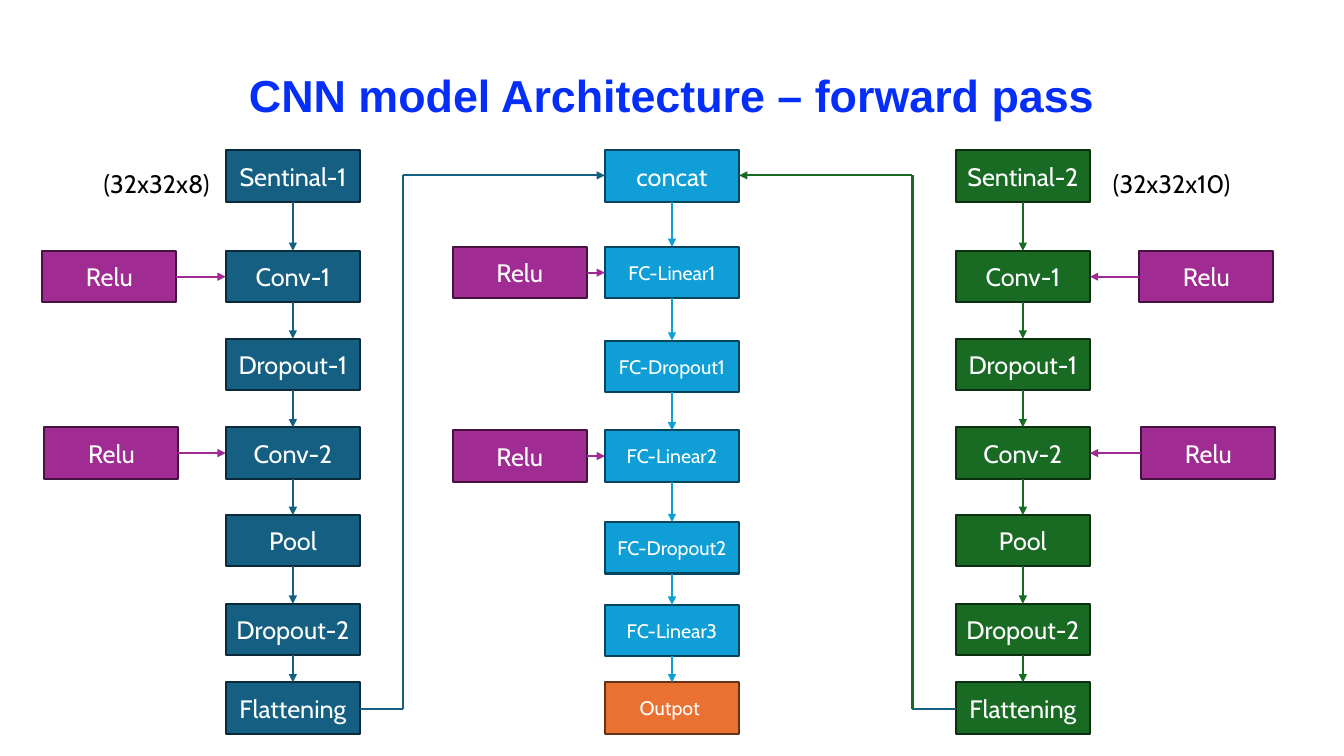
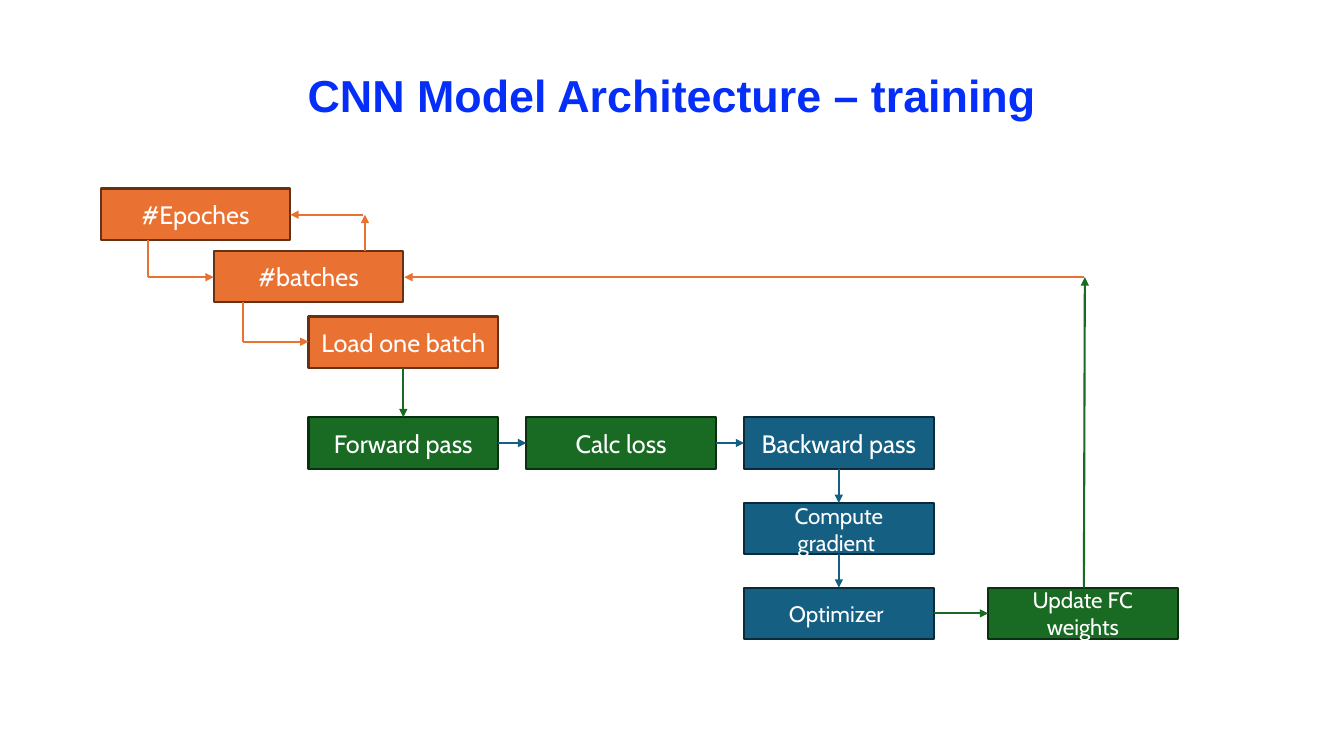
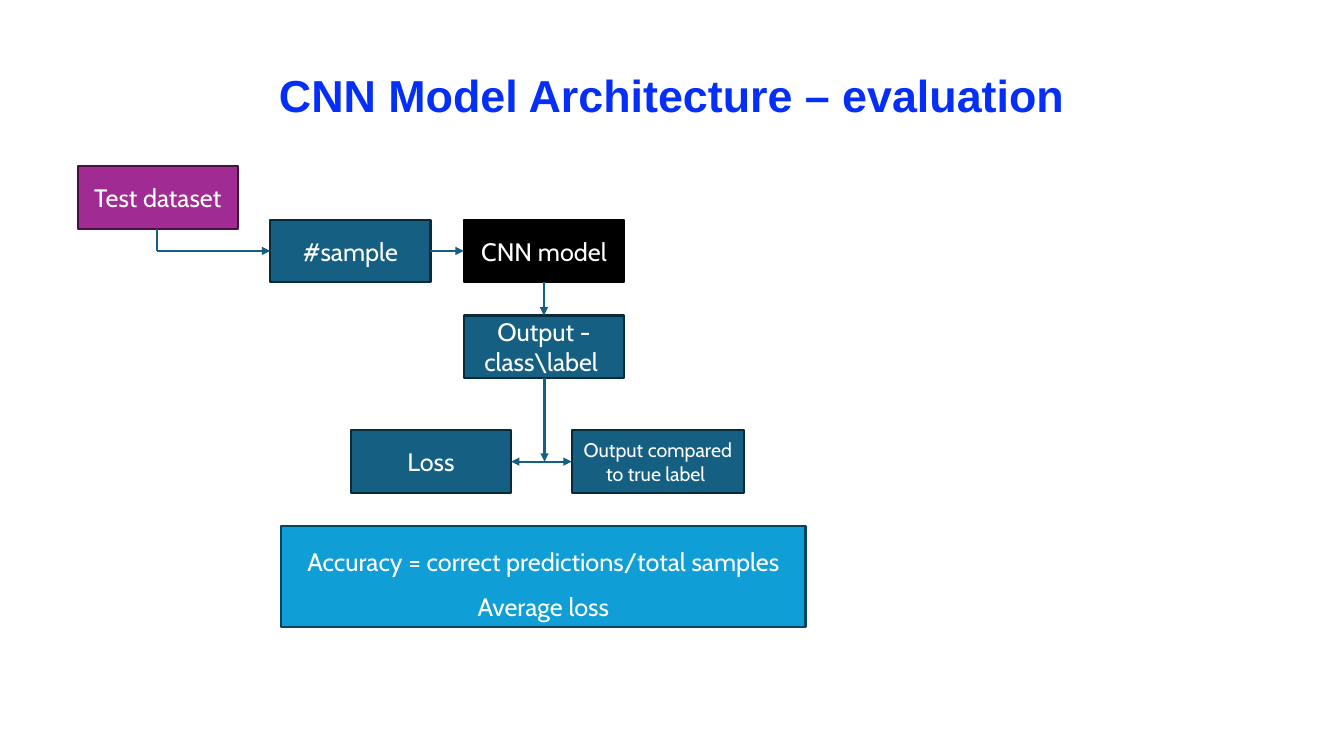
import dataclasses
import itertools

import lxml.etree
import pptx
import pptx.dml.color
import pptx.enum.shapes
import pptx.enum.text
import pptx.oxml.ns
import pptx.util

TOP, LEFT, BASE, RIGHT = range(4)


@dataclasses.dataclass(frozen=True)
class Theme:
    blue: tuple = ("156082", "092A39")
    green: tuple = ("196B24", "0B2F10")
    plum: tuple = ("A02B93", "461340")
    sky: tuple = ("0F9ED5", "07455D")
    orange: tuple = ("E97132", "663216")
    black: tuple = ("000000", "000000")
    title: str = "052FF8"
    white: str = "FFFFFF"
    head: str = "Arial"
    body: str = "Cabin"
    huge: int = 32
    large: int = 18
    mid: int = 16
    small: int = 14
    line: float = 1.5


class Deck:
    scale = 9144

    def __init__(self, theme):
        self.theme = theme
        self.show = pptx.Presentation()
        self.show.slide_width = self.px(1333)
        self.show.slide_height = self.px(750)

    def px(self, count):
        return pptx.util.Emu(count * self.scale)

    def tint(self, code):
        return pptx.dml.color.RGBColor.from_string(code)

    def page(self, title):
        self.slide = self.show.slides.add_slide(self.show.slide_layouts[6])
        self.label(title, (0, 62, 1333, 64), self.theme.huge, self.theme.title,
                   self.theme.head, True, pptx.enum.text.PP_ALIGN.CENTER)

    def letter(self, shape, text, size, color, face, bold=False, align=None, space=None):
        frame = shape.text_frame
        frame.word_wrap = True
        frame.text = text
        for para in frame.paragraphs:
            para.alignment = align
            para.line_spacing = space
            para.font.name = face
            para.font.size = pptx.util.Pt(size)
            para.font.bold = bold
            para.font.color.rgb = self.tint(color)
        return frame

    def label(self, text, area, size, color, face, bold=False, align=None):
        shape = self.slide.shapes.add_textbox(*map(self.px, area))
        frame = self.letter(shape, text, size, color, face, bold, align)
        frame.auto_size = pptx.enum.text.MSO_AUTO_SIZE.SHAPE_TO_FIT_TEXT

    def note(self, text, area):
        self.label(text, area, self.theme.large, self.theme.black[0], self.theme.body)

    def box(self, text, area, ink, size=None, space=None):
        shape = self.slide.shapes.add_shape(
            pptx.enum.shapes.MSO_SHAPE.RECTANGLE, *map(self.px, area))
        shape.shadow.inherit = False
        shape.fill.solid()
        shape.fill.fore_color.rgb = self.tint(ink[0])
        shape.line.color.rgb = self.tint(ink[1])
        shape.line.width = pptx.util.Pt(self.theme.line)
        frame = self.letter(shape, text, size or self.theme.large, self.theme.white,
                            self.theme.body, align=pptx.enum.text.PP_ALIGN.CENTER,
                            space=space)
        frame.vertical_anchor = pptx.enum.text.MSO_ANCHOR.MIDDLE
        return shape

    def line(self, ink, start, end, tip=True):
        wire = self.slide.shapes.add_connector(
            pptx.enum.shapes.MSO_CONNECTOR.STRAIGHT, *map(self.px, start + end))
        wire.line.color.rgb = self.tint(ink[0])
        wire.line.width = pptx.util.Pt(self.theme.line)
        props = wire.element.spPr
        qn = pptx.oxml.ns.qn
        if tip:
            lxml.etree.SubElement(props.find(qn("a:ln")), qn("a:tailEnd"), type="triangle")
        lxml.etree.SubElement(props, qn("a:effectLst"))
        return wire

    def route(self, ink, *points):
        for start, end in itertools.pairwise(points):
            self.line(ink, start, end, end == points[-1])

    def join(self, ink, first, last, near=BASE, far=TOP):
        wire = self.line(ink, (0, 0), (0, 0))
        wire.begin_connect(first, near)
        wire.end_connect(last, far)

    def stack(self, left, rows, ink):
        boxes = [self.box(text, (left, top, 133, 51), fill, size)
                 for text, top, fill, size in rows]
        for first, last in itertools.pairwise(boxes):
            self.join(ink, first, last)
        return boxes

    def relu(self, left, top, target, near, far):
        plum = self.theme.plum
        self.join(plum, self.box("Relu", (left, top, 133, 51), plum), target, near, far)


def forward(deck):
    theme = deck.theme
    deck.page("CNN model Architecture – forward pass")
    steps = ("Conv-1", "Dropout-1", "Conv-2", "Pool", "Dropout-2", "Flattening")
    tops = (149, 249, 336, 424, 511, 599, 677)
    sides = (
        ("Sentinal-1", 224, theme.blue, (42, 44), RIGHT, LEFT),
        ("Sentinal-2", 948, theme.green, (1130, 1132), LEFT, RIGHT),
    )
    for name, left, ink, spots, near, far in sides:
        rows = [(text, top, ink, theme.large) for text, top in zip((name, *steps), tops)]
        boxes = deck.stack(left, rows, ink)
        for spot, row in zip(spots, (1, 3)):
            deck.relu(spot, tops[row], boxes[row], near, far)

    rows = [("concat", 149, theme.sky, theme.large)]
    layers = ("FC-Linear1", "FC-Dropout1", "FC-Linear2", "FC-Dropout2", "FC-Linear3")
    rows += [(text, top, theme.sky, theme.small)
             for text, top in zip(layers, (245, 338, 427, 518, 600))]
    rows.append(("Outpot ", 677, theme.orange, theme.small))
    boxes = deck.stack(600, rows, theme.sky)
    for row in (1, 3):
        deck.relu(449, rows[row][1], boxes[row], RIGHT, LEFT)

    deck.route(theme.blue, (357, 703), (400, 703), (400, 174), (600, 174))
    deck.line(theme.blue, (905, 703), (948, 703), False)
    deck.route(theme.green, (905, 703), (905, 174), (733, 174))
    deck.note("(32x32x8)", (93, 162, 133, 40))
    deck.note("(32x32x10)", (1094, 162, 142, 40))


def train(deck):
    theme = deck.theme
    blue, green, orange = theme.blue, theme.green, theme.orange
    deck.page("CNN Model Architecture – training")

    def step(text, left, top, ink, size=theme.large):
        return deck.box(text, (left, top, 188, 51), ink, size)

    step("#Epoches", 100, 187, orange)
    step("#batches", 212, 249, orange)
    load = step("Load one batch", 306, 314, orange)
    ahead = step("Forward pass", 306, 414, green)
    loss = step("Calc loss", 522, 414, green)
    back = step("Backward pass", 738, 414, blue)
    slope = step("Compute gradient ", 738, 499, blue, theme.mid)
    tune = step("Optimizer ", 738, 583, blue, theme.mid)
    weights = step("Update FC weights", 980, 583, green, theme.mid)

    deck.join(green, load, ahead)
    deck.join(blue, ahead, loss, RIGHT, LEFT)
    deck.join(blue, loss, back, RIGHT, LEFT)
    deck.join(blue, back, slope)
    deck.join(blue, slope, tune)
    deck.join(green, tune, weights, RIGHT, LEFT)
    deck.route(orange, (147, 238), (147, 275), (212, 275))
    deck.route(orange, (241, 300), (241, 339), (306, 339))
    deck.line(orange, (1075, 275), (401, 275))
    deck.line(green, (1075, 583), (1076, 275))
    deck.line(orange, (362, 249), (362, 213))
    deck.line(orange, (360, 213), (288, 213))


def assess(deck):
    theme = deck.theme
    blue = theme.blue
    deck.page("CNN Model Architecture – evaluation")

    def step(text, left, top, ink=blue, size=theme.large, width=159):
        return deck.box(text, (left, top, width, 62), ink, size)

    step("Test dataset", 77, 165, theme.plum)
    sample = step("#sample", 268, 218)
    model = step("CNN model", 460, 218, theme.black)
    result = step("Output - class\\label ", 460, 313)
    step("Output compared to true label ", 567, 427, size=theme.small, width=171)
    step("Loss", 348, 427)

    deck.route(blue, (156, 227), (156, 249), (268, 249))
    deck.join(blue, sample, model, RIGHT, LEFT)
    deck.join(blue, model, result)
    fork = (540, 458)
    deck.line(blue, (540, 375), fork)
    for end in (507, 567):
        deck.line(blue, fork, (end, 458))
    deck.box("Accuracy = correct predictions/total samples\nAverage loss",
             (279, 522, 520, 100), theme.sky, space=1.5)


def main():
    deck = Deck(Theme())
    forward(deck)
    train(deck)
    assess(deck)
    deck.show.save("out.pptx")


if __name__ == "__main__":
    main()
